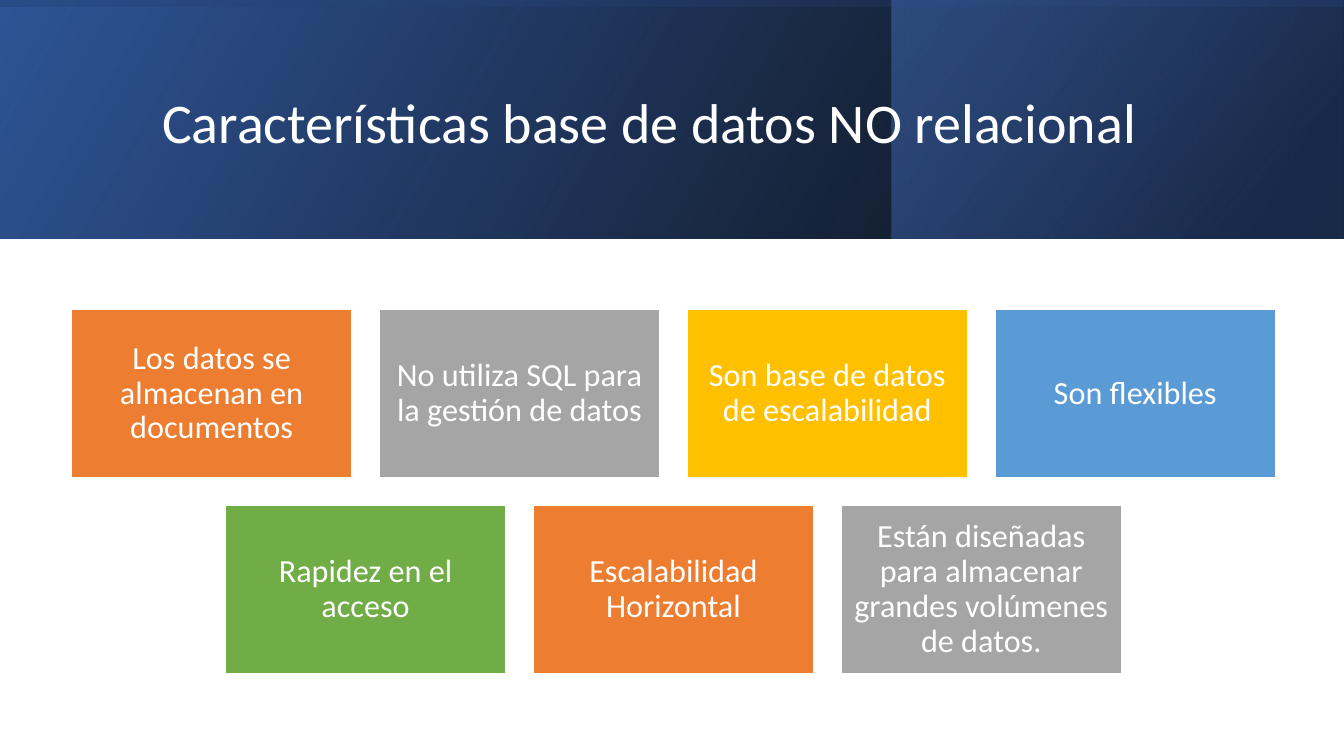
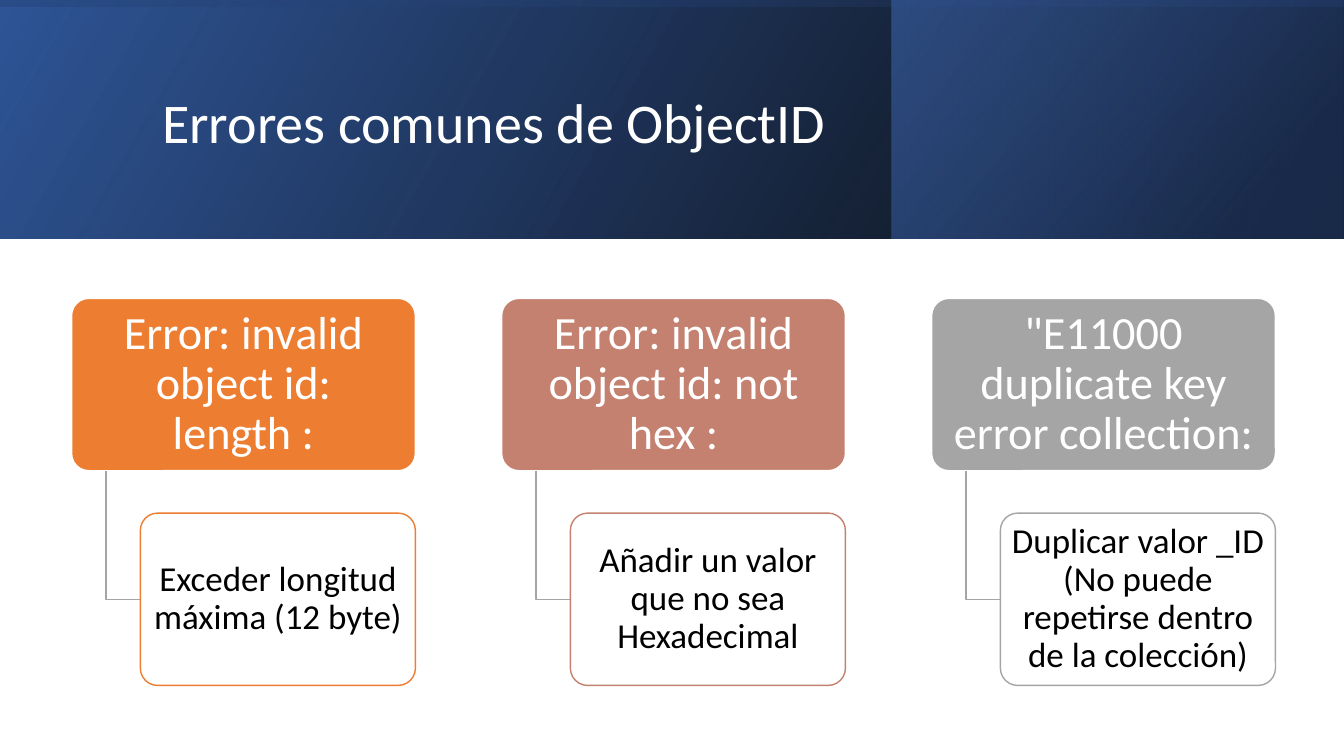
from lxml.etree import SubElement
from pptx import Presentation
from pptx.dml.color import RGBColor
from pptx.enum.shapes import MSO_SHAPE
from pptx.enum.text import MSO_ANCHOR, PP_ALIGN
from pptx.oxml.ns import qn
from pptx.util import Inches, Pt

# Palette
WHITE = RGBColor(0xFF, 0xFF, 0xFF)
BLACK = RGBColor(0x00, 0x00, 0x00)
NAVY = RGBColor(0x20, 0x38, 0x64)
DEEP_BLUE = RGBColor(0x2F, 0x55, 0x97)
MID_BLUE = RGBColor(0x44, 0x72, 0xC4)
ORANGE = RGBColor(0xED, 0x7D, 0x31)
GRAY = RGBColor(0xA5, 0xA5, 0xA5)
GOLD = RGBColor(0xFF, 0xC0, 0x00)
SKY = RGBColor(0x5B, 0x9B, 0xD5)
GREEN = RGBColor(0x70, 0xAD, 0x47)
ROSE = RGBColor(0xC4, 0x81, 0x70)

# Shared geometry, in inches
SLIDE_WIDTH, SLIDE_HEIGHT = 13.33, 7.5
BAND_HEIGHT = 2.37
CONTENT_LEFT, CONTENT_RIGHT = 0.71, 12.65

# Band layers: box, rotation, gradient angle, stops (position, colour, opacity)
BAND_LAYERS = [
    ((0, 0, SLIDE_WIDTH, BAND_HEIGHT), 0, 330,
     [(0, BLACK, 96), (100, DEEP_BLUE, 100)]),
    ((8.84, 0, 4.48, BAND_HEIGHT), 0, 320,
     [(19, NAVY, 68), (100, MID_BLUE, 48)]),
    (((SLIDE_WIDTH - BAND_HEIGHT) / 2, (BAND_HEIGHT - SLIDE_WIDTH) / 2,
      BAND_HEIGHT, SLIDE_WIDTH), 270, 350,
     [(23, DEEP_BLUE, 16), (99, BLACK, 45)]),
]


class Deck:
    """Holds the style and the current slide."""

    font_name = "Calibri"

    def __init__(self):
        self.presentation = Presentation()
        self.presentation.slide_width = Inches(SLIDE_WIDTH)
        self.presentation.slide_height = Inches(SLIDE_HEIGHT)
        self.slide = None

    def new_slide(self, title):
        layout = self.presentation.slide_layouts[6]
        self.slide = self.presentation.slides.add_slide(layout)
        for layer in BAND_LAYERS:
            self.band(*layer)
        box = self.slide.shapes.add_textbox(
            *map(Inches, (1.51, 0.38, 10.63, 1.72)))
        self.text(box, title, 40, WHITE, PP_ALIGN.LEFT, (0.1, 0.05))

    def band(self, box, rotation, angle, stops):
        shape = self.shape(MSO_SHAPE.RECTANGLE, box)
        shape.line.fill.background()
        shape.rotation = rotation
        properties = shape.element.spPr
        properties.xfrm.set("flipH", "1")
        # Gradient with transparent stops, placed right after the geometry
        gradient = SubElement(properties, qn("a:gradFill"), rotWithShape="1")
        properties.find(qn("a:prstGeom")).addnext(gradient)
        stop_list = SubElement(gradient, qn("a:gsLst"))
        for position, color, opacity in stops:
            stop = SubElement(stop_list, qn("a:gs"), pos=str(position * 1000))
            value = SubElement(stop, qn("a:srgbClr"), val=str(color))
            SubElement(value, qn("a:alpha"), val=str(opacity * 1000))
        SubElement(gradient, qn("a:lin"), ang=str(angle * 60000), scaled="0")

    def shape(self, kind, box):
        shape = self.slide.shapes.add_shape(kind, *map(Inches, box))
        shape.shadow.inherit = False
        return shape

    def card(self, box, text, size, fill, insets, line=WHITE, color=WHITE,
             kind=MSO_SHAPE.RECTANGLE, opacity=100):
        shape = self.shape(kind, box)
        if kind == MSO_SHAPE.ROUNDED_RECTANGLE:
            shape.adjustments[0] = 0.1
        shape.fill.solid()
        shape.fill.fore_color.rgb = fill
        if opacity < 100:
            value = shape.element.spPr.find(qn("a:solidFill"))[0]
            SubElement(value, qn("a:alpha"), val=str(opacity * 1000))
        shape.line.color.rgb = line
        shape.line.width = Pt(1)
        self.text(shape, text, size, color, PP_ALIGN.CENTER, insets)

    def text(self, shape, text, size, color, alignment, insets):
        horizontal, vertical = map(Inches, insets)
        frame = shape.text_frame
        paragraph = frame.paragraphs[0]
        paragraph.text = text
        frame_format = {
            "word_wrap": True, "vertical_anchor": MSO_ANCHOR.MIDDLE,
            "margin_left": horizontal, "margin_right": horizontal,
            "margin_top": vertical, "margin_bottom": vertical,
        }
        formats = [
            (frame, frame_format),
            (paragraph, {"alignment": alignment, "line_spacing": 0.9}),
            (paragraph.font, {"name": self.font_name, "size": Pt(size)}),
            (paragraph.font.color, {"rgb": color}),
        ]
        for target, values in formats:
            for name, value in values.items():
                setattr(target, name, value)

    def elbow(self, left, top, right, bottom):
        builder = self.slide.shapes.build_freeform(Inches(left), Inches(top))
        builder.add_line_segments(
            [(Inches(left), Inches(bottom)), (Inches(right), Inches(bottom))],
            close=False)
        shape = builder.convert_to_shape()
        shape.shadow.inherit = False
        shape.fill.background()
        shape.line.color.rgb = GRAY
        shape.line.width = Pt(1)


def features_slide(deck):
    deck.new_slide("Características base de datos NO relacional")
    rows = [
        [("Los datos se almacenan en documentos", ORANGE),
         ("No utiliza SQL para la gestión de datos", GRAY),
         ("Son base de datos de escalabilidad", GOLD),
         ("Son flexibles", SKY)],
        [("Rapidez en el acceso", GREEN),
         ("Escalabilidad Horizontal", ORANGE),
         ("Están diseñadas para almacenar grandes volúmenes de datos.", GRAY)],
    ]
    width, height, top = 2.78, 1.67, 3.07
    columns = len(rows[0])
    gap = (CONTENT_RIGHT - CONTENT_LEFT - columns * width) / (columns - 1)
    for row_index, row in enumerate(rows):
        # Shorter rows are centred under the first
        row_left = CONTENT_LEFT + (columns - len(row)) * (width + gap) / 2
        for column, (text, fill) in enumerate(row):
            box = (row_left + column * (width + gap),
                   top + row_index * (height + gap), width, height)
            deck.card(box, text, 23, fill, (0.1, 0.1))


def errors_slide(deck):
    deck.new_slide("Errores comunes de ObjectID")
    errors = [
        ("Error: invalid object id: length :",
         "Exceder longitud máxima (12 byte)", ORANGE),
        ("Error: invalid object id: not hex :",
         "Añadir un valor que no sea Hexadecimal", ROSE),
        ('"E11000 duplicate key error collection:',
         "Duplicar valor _ID (No puede repetirse dentro de la colección)",
         GRAY),
    ]
    width, height, error_top, cause_top = 3.41, 1.71, 2.96, 5.09
    indent = width / 5
    step = (CONTENT_RIGHT - CONTENT_LEFT - width) / (len(errors) - 1)
    rounded = MSO_SHAPE.ROUNDED_RECTANGLE
    for index, (error, cause, color) in enumerate(errors):
        left = CONTENT_LEFT + index * step
        cause_left = left + indent
        deck.card((left, error_top, width, height), error, 33, color,
                  (0.07, 0.05), kind=rounded)
        deck.elbow(left + indent / 2, error_top + height,
                   cause_left, cause_top + height / 2)
        deck.card((cause_left, cause_top, width - indent, height), cause, 25,
                  WHITE, (0.05, 0.03), line=color, color=BLACK, kind=rounded,
                  opacity=90)


def main():
    deck = Deck()
    features_slide(deck)
    errors_slide(deck)
    deck.presentation.save("out.pptx")


if __name__ == "__main__":
    main()
